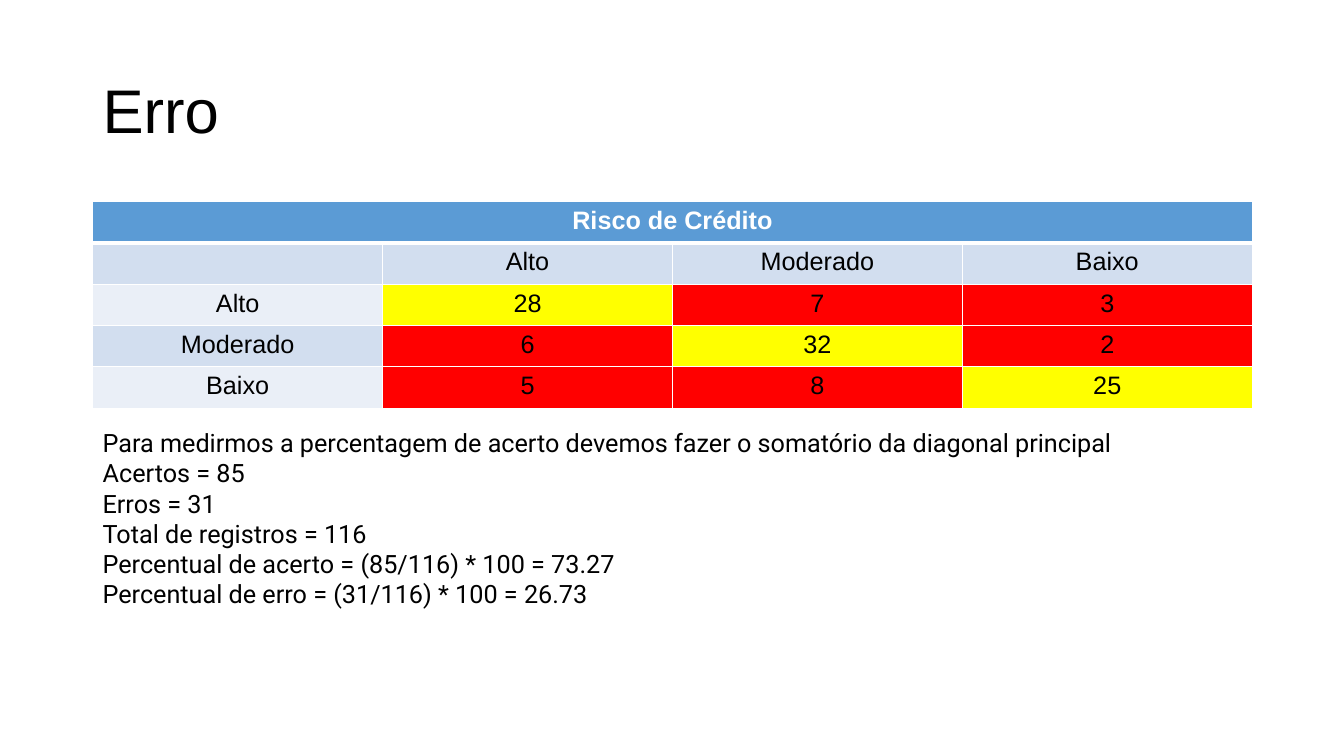
"""Builds the slide "Erro" with a credit risk confusion matrix."""
import pptx
import pptx.dml.color
import pptx.enum.text
import pptx.oxml
import pptx.oxml.ns
import pptx.util
from pptx.util import Inches

TITLE = "Erro"
TABLE_TITLE = "Risco de Crédito"
CLASSES = ["Alto", "Moderado", "Baixo"]
COUNTS = [[28, 7, 3], [6, 32, 2], [5, 8, 25]]
NOTES = [
    "Para medirmos a percentagem de acerto devemos fazer o somatório da diagonal principal",
    "Acertos = 85",
    "Erros = 31",
    "Total de registros = 116",
    "Percentual de acerto = (85/116) * 100 = 73.27",
    "Percentual de erro = (31/116) * 100 = 26.73",
]
BLACK, WHITE = "000000", "FFFFFF"
HEADER, BAND_DARK, BAND_LIGHT = "5B9BD5", "D2DEEF", "EAEFF7"
HIT, MISS = "FFFF00", "FF0000"
LEFT, WIDTH = 0.92, 11.5
ROW_HEIGHT = 0.41


def color(value):
    return pptx.dml.color.RGBColor.from_string(value)


def write(para, text, size, font, fill, bold=False):
    span = para.add_run()
    span.text = text
    span.font.size = pptx.util.Pt(size)
    span.font.name = font
    span.font.bold = bold
    span.font.color.rgb = color(fill)


def add_text(page, top, height, lines, size, font):
    box = page.shapes.add_textbox(Inches(LEFT), Inches(top), Inches(WIDTH), Inches(height))
    frame = box.text_frame
    frame.word_wrap = True
    for index, line in enumerate(lines):
        para = frame.add_paragraph() if index else frame.paragraphs[0]
        write(para, line, size, font, BLACK)
    return frame


def set_borders(cell, top, bottom):
    properties = cell._tc.get_or_add_tcPr()
    for index, (side, points) in enumerate(
        [("L", 1), ("R", 1), ("T", top), ("B", bottom)]
    ):
        border = pptx.oxml.parse_xml(
            f'<a:ln{side} {pptx.oxml.ns.nsdecls("a")} w="{pptx.util.Pt(points)}">'
            f'<a:solidFill><a:srgbClr val="{WHITE}"/></a:solidFill></a:ln{side}>'
        )
        properties.insert(index, border)


def cell_fill(row, column):
    if row == 0:
        return HEADER
    if row > 1 and column > 0:
        return HIT if row - 1 == column else MISS
    return BAND_DARK if row % 2 else BAND_LIGHT


def add_matrix(page):
    rows = [[TABLE_TITLE, "", "", ""], [""] + CLASSES]
    rows += [[name] + counts for name, counts in zip(CLASSES, COUNTS)]
    table = page.shapes.add_table(
        len(rows), len(rows[0]), Inches(LEFT), Inches(2),
        Inches(WIDTH), Inches(ROW_HEIGHT * len(rows)),
    ).table
    for row, values in enumerate(rows):
        table.rows[row].height = Inches(ROW_HEIGHT)
        for column, value in enumerate(values):
            cell = table.cell(row, column)
            cell.fill.solid()
            cell.fill.fore_color.rgb = color(cell_fill(row, column))
            set_borders(cell, 3 if row == 1 else 1, 3 if row == 0 else 1)
            if value != "":
                para = cell.text_frame.paragraphs[0]
                para.alignment = pptx.enum.text.PP_ALIGN.CENTER
                write(para, str(value), 18, "Arial", BLACK if row else WHITE, row == 0)
    table.cell(0, 0).merge(table.cell(0, len(CLASSES)))


def main():
    deck = pptx.Presentation()
    deck.slide_width, deck.slide_height = Inches(13.33), Inches(7.5)
    page = deck.slides.add_slide(deck.slide_layouts[6])
    title = add_text(page, 0.4, 1.45, [TITLE], 44, "Arial")
    title.vertical_anchor = pptx.enum.text.MSO_ANCHOR.MIDDLE
    title.paragraphs[0].line_spacing = 0.9
    add_matrix(page)
    notes = add_text(page, 4.19, 1.92, NOTES, 18, "Roboto")
    notes.auto_size = pptx.enum.text.MSO_AUTO_SIZE.SHAPE_TO_FIT_TEXT
    deck.save("out.pptx")


if __name__ == "__main__":
    main()
